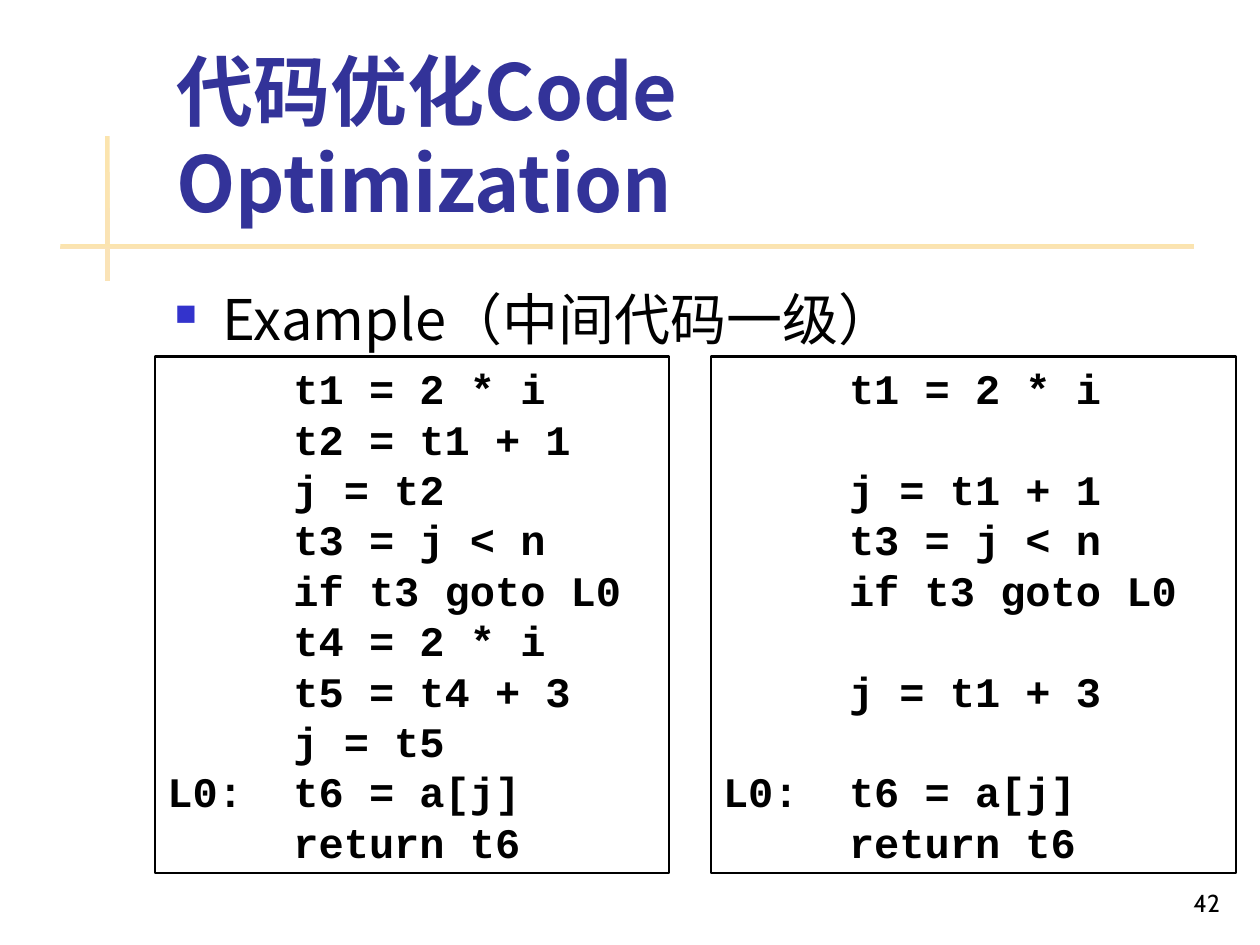
from lxml import etree
from pptx import Presentation
from pptx.dml.color import RGBColor
from pptx.enum.shapes import MSO_SHAPE
from pptx.enum.text import MSO_ANCHOR, PP_ALIGN
from pptx.oxml.ns import qn
from pptx.util import Inches, Pt

RECTANGLE = MSO_SHAPE.RECTANGLE
TOP, BOTTOM = MSO_ANCHOR.TOP, MSO_ANCHOR.BOTTOM
LEFT, RIGHT = PP_ALIGN.LEFT, PP_ALIGN.RIGHT

COLORS = {"title": "333399", "bullet": "3333CC", "text": "000000",
          "bar_start": "FBE4AE", "bar_end": "FAE3B7"}
CJK, MONO, NUMBER = "Noto Sans CJK JP", "Courier New", "Cabin"

TITLE = "代码优化Code Optimization"
EXAMPLE = "Example（中间代码一级）"
PAGE = "42"
BARS = [(0.83, 1.08, 0.04, 1.15), (0.48, 1.94, 9, 0.04)]
LISTINGS = [
    (1.23, 4.08, ["t1 = 2 * i", "t2 = t1 + 1", "j = t2", "t3 = j < n",
                  "if t3 goto L0", "t4 = 2 * i", "t5 = t4 + 3", "j = t5",
                  "t6 = a[j]", "return t6"]),
    (5.64, 4.17, ["t1 = 2 * i", "", "j = t1 + 1", "t3 = j < n",
                  "if t3 goto L0", "", "j = t1 + 3", "",
                  "t6 = a[j]", "return t6"]),
]
LABELS = {8: "L0: "}
CODE_TOP, CODE_HEIGHT = 2.83, 4.1


def rgb(name):
    return RGBColor.from_string(COLORS[name])


def write(frame, text, font, size, color="text", bold=False, align=LEFT,
          anchor=TOP, before=0):
    frame.word_wrap = True
    frame.vertical_anchor = anchor
    paragraph = frame.paragraphs[0]
    paragraph.text = text
    paragraph.alignment = align
    paragraph.line_spacing = 1.0
    paragraph.space_before = Pt(before)
    for run in paragraph.runs:
        run.font.name = font
        run.font.size = Pt(size)
        run.font.bold = bold
        run.font.color.rgb = rgb(color)
        east_asian = etree.Element(qn("a:ea"), typeface=font)
        run.font._element.find(qn("a:latin")).addnext(east_asian)
    return paragraph


def add_bullet(paragraph):
    properties = paragraph._p.get_or_add_pPr()
    properties.set("marL", str(Inches(0.38)))
    properties.set("indent", str(Inches(-0.38)))
    color = etree.SubElement(properties, qn("a:buClr"))
    etree.SubElement(color, qn("a:srgbClr"), val=COLORS["bullet"])
    etree.SubElement(properties, qn("a:buSzPct"), val="53000")
    etree.SubElement(properties, qn("a:buChar"), char="■")


def add_tab_stop(paragraph, position):
    stops = etree.SubElement(paragraph._p.get_or_add_pPr(), qn("a:tabLst"))
    etree.SubElement(stops, qn("a:tab"), pos=str(Inches(position)), algn="l")


def add_rectangle(slide, box):
    shape = slide.shapes.add_shape(RECTANGLE, *map(Inches, box))
    shape.shadow.inherit = False
    return shape


def add_bar(slide, box):
    bar = add_rectangle(slide, box)
    bar.line.fill.background()
    bar.fill.gradient()
    bar.fill.gradient_angle = 270
    for stop, name in zip(bar.fill.gradient_stops, ("bar_start", "bar_end")):
        stop.color.rgb = rgb(name)


def add_listing(slide, left, width, statements):
    panel = add_rectangle(slide, (left, CODE_TOP, width, CODE_HEIGHT))
    panel.fill.background()
    panel.line.color.rgb = rgb("text")
    panel.line.width = Pt(1.25)
    code = "\n".join(f"{LABELS.get(row, '')}\t{statement}"
                     for row, statement in enumerate(statements))
    paragraph = write(panel.text_frame, code, MONO, 24, bold=True, before=6)
    add_tab_stop(paragraph, 1)


def main():
    """Build the code optimization slide."""
    deck = Presentation()
    deck.slide_width, deck.slide_height = Inches(10), Inches(7.5)
    slide = deck.slides.add_slide(deck.slide_layouts[5])

    for box in BARS:
        add_bar(slide, box)

    title = slide.shapes.title
    title.left, title.top = Inches(1.3), Inches(0.76)
    title.width, title.height = Inches(8.25), Inches(1.1)
    write(title.text_frame, TITLE, CJK, 44, "title", True, anchor=BOTTOM)

    example = slide.shapes.add_textbox(*map(Inches, (1.29, 2.21, 8.5, 4.5)))
    add_bullet(write(example.text_frame, EXAMPLE, CJK, 32, before=8))

    for left, width, statements in LISTINGS:
        add_listing(slide, left, width, statements)

    page = slide.shapes.add_textbox(*map(Inches, (7.7, 6.83, 2.08, 0.5)))
    write(page.text_frame, PAGE, NUMBER, 14, align=RIGHT, anchor=BOTTOM)

    deck.save("out.pptx")


if __name__ == "__main__":
    main()
